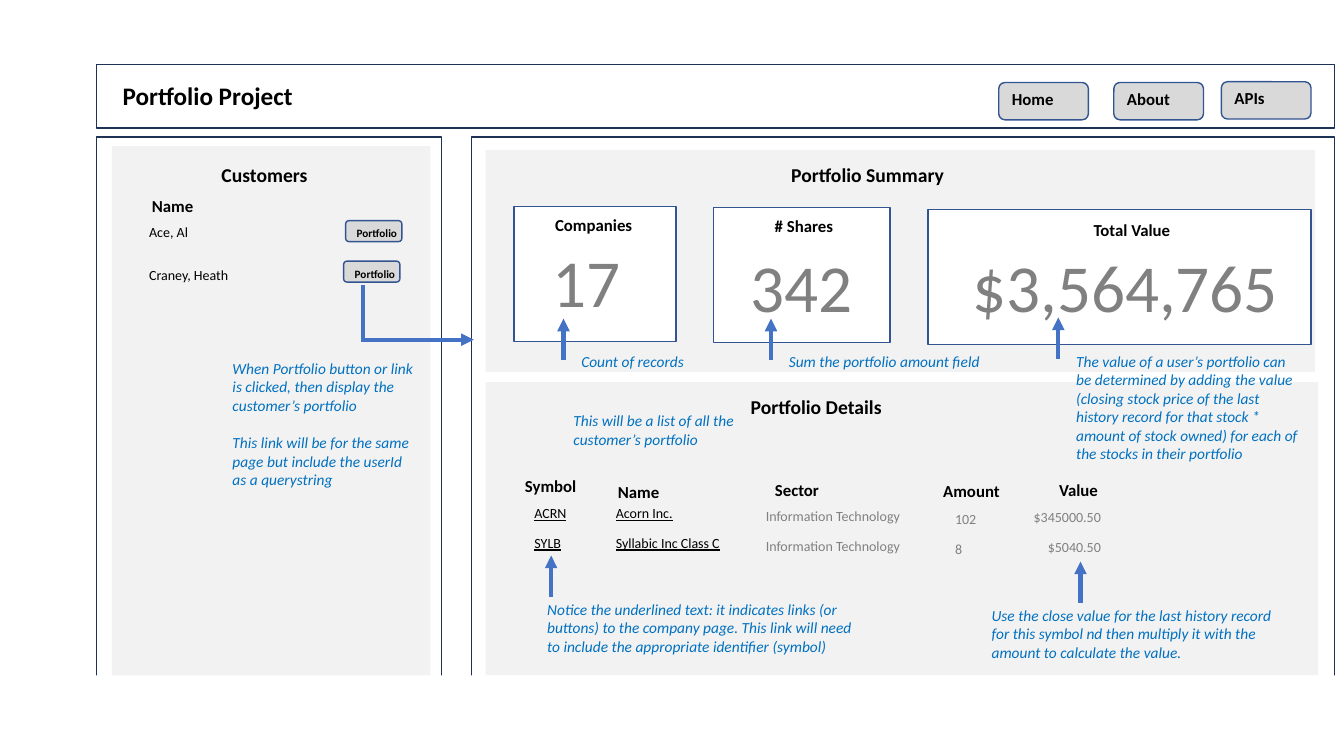
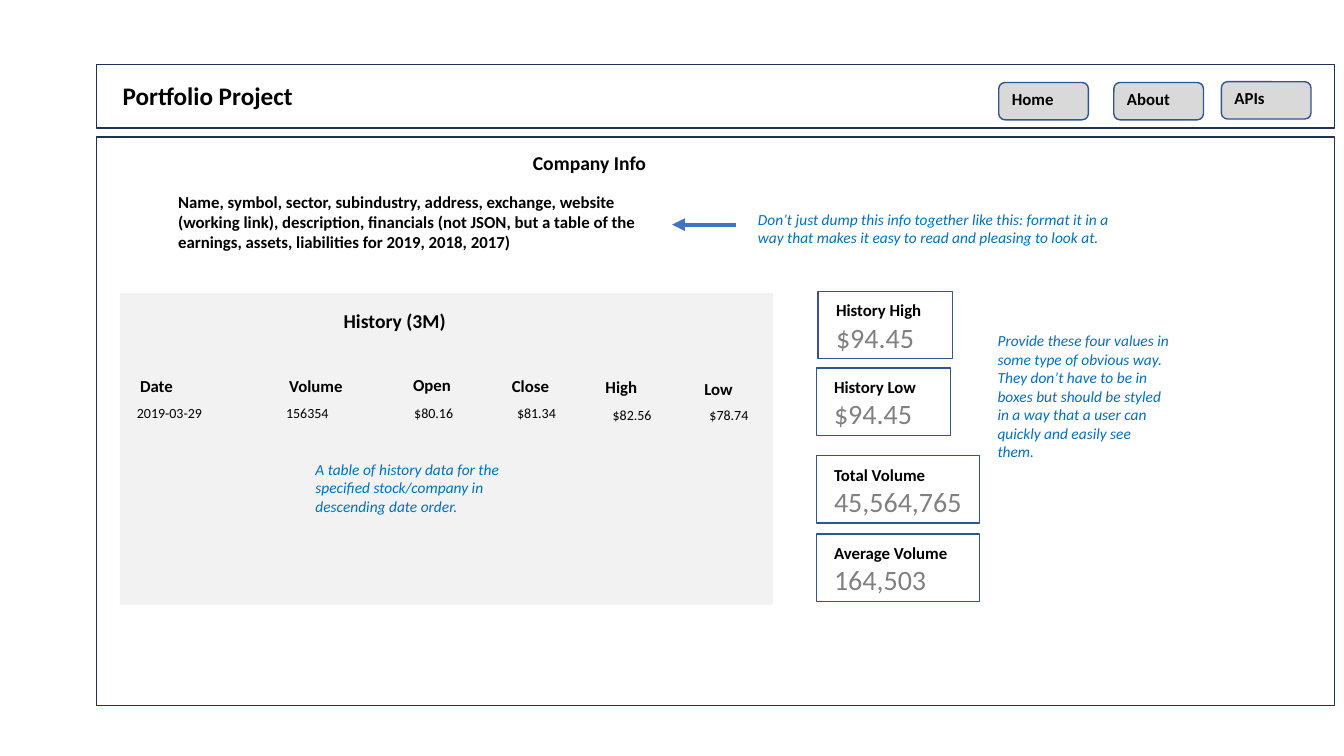
from dataclasses import dataclass

from pptx import Presentation
from pptx.dml.color import RGBColor
from pptx.enum.shapes import MSO_CONNECTOR as Connector, MSO_SHAPE as Preset
from pptx.enum.text import MSO_AUTO_SIZE as AutoSize, PP_ALIGN as Align
from pptx.oxml.ns import qn
from pptx.slide import Slide
from pptx.util import Cm, Pt
from lxml.etree import SubElement

COLORS = {
    "panel": "F2F2F2", "white": "FFFFFF", "button": "D9D9D9",
    "frame": "1E3256", "border": "325491", "arrow": "4472C4",
    "ink": "000000", "muted": "808080", "note": "0070C0",
}

# Text styles: values for the run font, with colour looked up in COLORS
STYLES = {
    "title": {"size": 18, "bold": True, "color": "ink"},
    "section": {"size": 14, "bold": True, "color": "ink"},
    "label": {"size": 12, "bold": True, "color": "ink"},
    "small": {"size": 8, "bold": True, "color": "ink"},
    "cell": {"size": 10, "color": "ink"},
    "link": {"size": 10, "underline": True, "color": "ink"},
    "muted": {"size": 10, "color": "muted"},
    "note": {"size": 11, "italic": True, "color": "note"},
    "figure": {"size": 20, "color": "muted"},
    "big figure": {"size": 48, "color": "muted"},
}
FONT = "Calibri"
ROW_PITCH = 0.74
ARROW_LENGTH = 1.04


# All positions and sizes below are centimetres
@dataclass
class Words:
    text: str
    x: float
    y: float
    width: float
    style: str = "note"
    lines: int = 1
    align: Align = Align.LEFT
    wrap: bool = True


@dataclass
class Box:
    x: float
    y: float
    width: float
    height: float
    fill: str | None = None
    line: str | None = None
    preset: Preset = Preset.RECTANGLE


@dataclass
class Tile:
    box: Box
    label: Words
    figure: Words


@dataclass
class Column:
    heading: str
    x: float
    y: float
    width: float
    cell_x: float
    cell_y: float
    cell_width: float
    cells: tuple[str, ...]
    style: str = "cell"
    align: Align = Align.LEFT


def rgb(name: str) -> RGBColor:
    return RGBColor.from_string(COLORS[name])


def draw_box(slide: Slide, box: Box) -> None:
    shape = slide.shapes.add_shape(
        box.preset, Cm(box.x), Cm(box.y), Cm(box.width), Cm(box.height))
    shape.shadow.inherit = False
    if box.fill:
        shape.fill.solid()
        shape.fill.fore_color.rgb = rgb(box.fill)
    else:
        shape.fill.background()
    if box.line:
        shape.line.color.rgb = rgb(box.line)
        shape.line.width = Pt(1)
    else:
        shape.line.fill.background()


def draw_words(slide: Slide, words: Words) -> None:
    look = dict(STYLES[words.style])
    size, color = look.pop("size"), look.pop("color")
    height = 0.25 + 0.043 * size * words.lines
    frame = slide.shapes.add_textbox(
        Cm(words.x), Cm(words.y), Cm(words.width), Cm(height)).text_frame
    frame.word_wrap = words.wrap
    frame.auto_size = AutoSize.SHAPE_TO_FIT_TEXT
    frame.text = words.text
    for number, paragraph in enumerate(frame.paragraphs):
        paragraph.alignment = words.align
        if number:
            paragraph.space_before = Pt(size * 1.22)
        font = paragraph.runs[0].font
        font.color.rgb = rgb(color)
        for key, value in {**look, "name": FONT, "size": Pt(size)}.items():
            setattr(font, key, value)


def draw_line(slide: Slide, x1: float, y1: float, x2: float, y2: float,
              arrow: bool = True) -> None:
    line = slide.shapes.add_connector(
        Connector.STRAIGHT, Cm(x1), Cm(y1), Cm(x2), Cm(y2))
    line.line.color.rgb = rgb("arrow")
    line.line.width = Pt(3)
    if arrow:
        SubElement(line.line._get_or_add_ln(), qn("a:tailEnd"), type="triangle")
    SubElement(line._element.spPr, qn("a:effectLst"))


def draw_up_arrow(slide: Slide, x: float, tip: float) -> None:
    draw_line(slide, x, tip + ARROW_LENGTH, x, tip)


def draw_tile(slide: Slide, tile: Tile) -> None:
    draw_box(slide, tile.box)
    draw_words(slide, tile.figure)
    draw_words(slide, tile.label)


def draw_column(slide: Slide, column: Column) -> None:
    draw_words(slide, Words(column.heading, column.x, column.y, column.width, "label"))
    for row, text in enumerate(column.cells):
        draw_words(slide, Words(text, column.cell_x, column.cell_y + row * ROW_PITCH,
                                column.cell_width, column.style, align=column.align))


def draw_button(slide: Slide, label: Words, width: float, height: float,
                inset: float) -> None:
    draw_box(slide, Box(label.x - inset, label.y - 0.03, width, height,
                        "button", "border", Preset.ROUNDED_RECTANGLE))
    draw_words(slide, label)


def draw_frame(slide: Slide, x: float, width: float) -> None:
    draw_box(slide, Box(x, 3.45, width, 14.33, line="frame"))


def draw_header(slide: Slide) -> None:
    draw_box(slide, Box(2.44, 1.63, 31.19, 1.6, line="frame"))
    draw_words(slide, Words("Portfolio Project", 2.84, 1.9, 6.71, "title"))
    for text, x, y, width in (("Home", 25.25, 2.11, 1.57),
                              ("About", 28.15, 2.11, 1.6),
                              ("APIs", 30.86, 2.09, 1.3)):
        draw_button(slide, Words(text, x, y, width, "label", wrap=False),
                    2.26, 0.94, 0.08)


def draw_customers(slide: Slide) -> None:
    draw_box(slide, Box(2.82, 3.68, 8.03, 13.87, "panel"))
    draw_frame(slide, 2.44, 8.69)
    draw_words(slide, Words("Customers", 5.33, 3.99, 4.45, "section"))
    draw_words(slide, Words("Name", 3.58, 4.8, 4.8, "label"))
    for name, y, button_x, button_y in (("Ace, Al", 5.51, 8.74, 5.59),
                                        ("Craney, Heath", 6.6, 8.69, 6.61)):
        draw_words(slide, Words(name, 3.51, y, 4.8, "cell"))
        draw_button(slide, Words("Portfolio", button_x, button_y, 1.55, "small",
                                 wrap=False), 1.42, 0.53, 0.03)
    draw_words(slide, Words(
        "When Portfolio button or link is clicked, then display the customer’s portfolio\n"
        "This link will be for the same page but include the userId as a querystring",
        5.61, 8.92, 5.21, lines=7))


def draw_summary(slide: Slide) -> None:
    draw_box(slide, Box(12.24, 3.78, 20.9, 5.59, "panel"))
    draw_words(slide, Words("Portfolio Summary", 19.69, 3.99, 4.45, "section"))
    tiles = (
        Tile(Box(12.95, 5.21, 4.09, 3.4, "white", "border"),
             Words("Companies", 13.74, 5.28, 2.82, "label"),
             Words("17", 13.67, 5.94, 3.51, "big figure")),
        Tile(Box(17.98, 5.23, 4.45, 3.4, "white", "border"),
             Words("# Shares", 18.85, 5.31, 2.82, "label", align=Align.CENTER),
             Words("342", 18.67, 6.05, 3.25, "big figure")),
        Tile(Box(23.39, 5.28, 9.65, 3.4, "white", "border"),
             Words("Total Value", 27.31, 5.41, 2.82, "label"),
             Words("$3,564,765", 24.26, 6.05, 8.79, "big figure")),
    )
    for tile in tiles:
        draw_tile(slide, tile)


def draw_details(slide: Slide) -> None:
    draw_box(slide, Box(12.24, 9.63, 20.98, 7.39, "panel"))
    draw_words(slide, Words("Portfolio Details", 18.67, 9.83, 4.45, "section"))
    columns = (
        Column("Symbol", 12.98, 11.86, 2.36, 13.22, 12.6, 1.93,
               ("ACRN", "SYLB"), "link"),
        Column("Name", 15.32, 12.01, 2.36, 15.27, 12.6, 3.86,
               ("Acorn Inc.", "Syllabic Inc Class C"), "link"),
        Column("Sector", 19.28, 11.96, 1.75, 19.05, 12.67, 4.09,
               ("Information Technology",) * 2, "muted"),
        Column("Amount", 23.52, 11.99, 2.21, 23.82, 12.75, 1.9,
               ("102", "8"), "muted"),
        Column("Value", 26.44, 11.96, 2.49, 25.42, 12.7, 2.57,
               ("$345000.50", "$5040.50"), "muted", Align.RIGHT),
    )
    for column in columns:
        draw_column(slide, column)


def build_portfolio(slide: Slide) -> None:
    draw_customers(slide)
    draw_header(slide)
    draw_frame(slide, 11.89, 21.74)
    draw_details(slide)
    draw_summary(slide)
    # Path from the customer button to the portfolio
    draw_line(slide, 9.14, 7.19, 9.14, 8.61, arrow=False)
    draw_line(slide, 9.14, 8.56, 11.94, 8.56)
    # Annotations
    for x, tip in ((14.2, 8.03), (19.43, 8.03), (26.67, 8.0),
                   (13.89, 14.0), (27.23, 14.15)):
        draw_up_arrow(slide, x, tip)
    notes = (
        Words("Count of records", 14.4, 8.76, 5.54),
        Words("Sum the portfolio amount field", 19.63, 8.76, 5.54),
        Words("The value of a user’s portfolio can be determined by adding the value "
              "(closing stock price of the last history record for that stock * amount "
              "of stock owned) for each of the stocks in their portfolio",
              26.87, 8.74, 6.17, lines=6),
        Words("This will be a list of all the customer’s portfolio",
              14.2, 10.24, 5.54, lines=2),
        Words("Notice the underlined text: it indicates links (or buttons) to the company "
              "page. This link will need to include the appropriate identifier (symbol)",
              13.54, 14.99, 8.43, lines=3),
        Words("Use the close value for the last history record for this symbol nd then "
              "multiply it with the amount to calculate the value.",
              24.74, 15.14, 7.72, lines=3),
    )
    for note in notes:
        draw_words(slide, note)
    # Page cut-off: hides the lower edge of the frames
    draw_box(slide, Box(1.14, 17.02, 32.73, 1.47, "white"))


def draw_history(slide: Slide) -> None:
    draw_box(slide, Box(3.02, 7.39, 16.46, 7.85, "panel"))
    draw_words(slide, Words("History (3M)", 8.41, 7.65, 3.68, "section"))
    columns = (
        Column("Date", 3.28, 9.35, 2.95, 3.2, 10.08, 3.73, ("2019-03-29",)),
        Column("Volume", 7.04, 9.35, 3.38, 6.96, 10.06, 2.46, ("156354",)),
        Column("Open", 10.16, 9.32, 1.93, 10.19, 10.06, 1.65, ("$80.16",)),
        Column("Close", 12.65, 9.35, 2.26, 12.78, 10.06, 1.85, ("$81.34",)),
        Column("High", 15.01, 9.37, 1.93, 15.19, 10.13, 1.65, ("$82.56",)),
        Column("Low", 17.5, 9.42, 2.26, 17.63, 10.11, 1.85, ("$78.74",)),
    )
    for column in columns:
        draw_column(slide, column)
    draw_words(slide, Words("A table of history data for the specified stock/company in "
                            "descending date order.", 7.7, 11.46, 6.17, lines=3))


def build_company(slide: Slide) -> None:
    draw_header(slide)
    draw_frame(slide, 2.44, 31.19)
    # Company information
    draw_words(slide, Words("Company Info", 13.18, 3.68, 6.73, "section"))
    draw_words(slide, Words(
        "Name, symbol, sector, subindustry, address, exchange, website (working link), "
        "description, financials (not JSON, but a table of the earnings, assets, "
        "liabilities for 2019, 2018, 2017)", 4.24, 4.7, 12.17, "label", 3))
    draw_line(slide, 18.54, 5.66, 16.94, 5.66)
    draw_words(slide, Words("Don’t just dump this info together like this: format it in a "
                            "way that makes it easy to read and pleasing to look at.",
                            18.85, 5.16, 9.83, lines=2))
    draw_history(slide)
    # Key figures
    for label, figure, x, y, width in (("History High", "$94.45", 20.62, 7.34, 3.38),
                                       ("History Low", "$94.45", 20.57, 9.27, 3.38),
                                       ("Total Volume", "45,564,765", 20.57, 11.48, 4.11),
                                       ("Average Volume", "164,503", 20.57, 13.46, 4.11)):
        draw_tile(slide, Tile(Box(x, y, width, 1.7, "white", "border"),
                              Words(label, x + 0.2, y + 0.1, width, "label"),
                              Words(figure, x + 0.2, y + 0.6, width, "figure")))
    draw_words(slide, Words("Provide these four values in some type of obvious way. They "
                            "don’t have to be in boxes but should be styled in a way that "
                            "a user can quickly and easily see them.",
                            24.89, 8.23, 4.85, lines=7))


def main() -> None:
    deck = Presentation()
    deck.slide_width, deck.slide_height = Cm(33.87), Cm(19.05)
    for build in (build_portfolio, build_company):
        build(deck.slides.add_slide(deck.slide_layouts[6]))
    deck.save("out.pptx")


if __name__ == "__main__":
    main()
